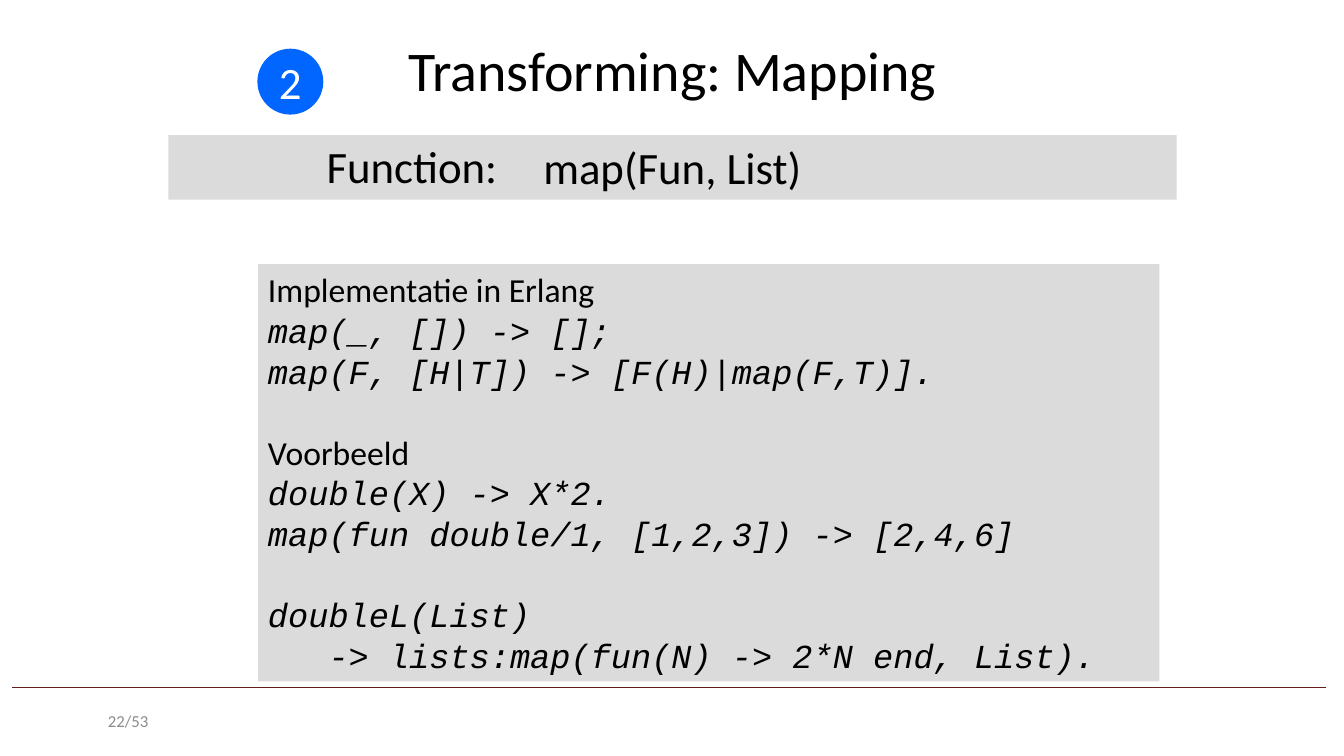
from lxml import etree
from pptx import Presentation
from pptx import util as u
from pptx.dml.color import RGBColor
from pptx.enum import shapes, text
from pptx.oxml.ns import qn

PX = u.Inches(1) // 100  # 100 px to the inch

BLACK = RGBColor(0x00, 0x00, 0x00)
WHITE = RGBColor(0xFF, 0xFF, 0xFF)
PANEL = RGBColor(0xDB, 0xDB, 0xDB)
BLUE = RGBColor(0x00, 0x66, 0xFF)
RULE = RGBColor(0x63, 0x1D, 0x1D)
MUTED = RGBColor(0x8C, 0x8C, 0x8C)

BODY, CODE = "Calibri", "Courier New"
LEFT, CENTER, RIGHT = text.PP_ALIGN.LEFT, text.PP_ALIGN.CENTER, text.PP_ALIGN.RIGHT
TOP, MIDDLE = text.MSO_ANCHOR.TOP, text.MSO_ANCHOR.MIDDLE
CODE_PITCH = 29

# Each section: optional heading, then its code lines
SECTIONS = [
    ("Implementatie in Erlang",
     ["map(_, []) -> [];", "map(F, [H|T]) -> [F(H)|map(F,T)]."]),
    ("Voorbeeld",
     ["double(X) -> X*2.", "map(fun double/1, [1,2,3]) -> [2,4,6]"]),
    (None,
     ["doubleL(List)\v   -> lists:map(fun(N) -> 2*N end, List)."]),
]


def px(*lengths):
    return [length * PX for length in lengths]


def format_runs(para, size, color=BLACK, name=BODY, italic=False):
    for span in para.runs:
        span.font.size = u.Pt(size)
        span.font.name = name
        span.font.color.rgb = color
        span.font.italic = italic


def write(box, words, size, color=BLACK, align=LEFT, anchor=TOP, wrap=True):
    frame = box.text_frame
    frame.word_wrap = wrap
    frame.vertical_anchor = anchor
    frame.text = words
    para = frame.paragraphs[0]
    para.alignment = align
    format_runs(para, size, color)


def add_filled(page, kind, area, color):
    shape = page.shapes.add_shape(kind, *px(*area))
    shape.shadow.inherit = False
    shape.fill.solid()
    shape.fill.fore_color.rgb = color
    shape.line.fill.background()
    return shape


def add_label(page, area, words, size, **style):
    write(page.shapes.add_textbox(*px(*area)), words, size, **style)


def add_rule(page, left, right, y):
    rule = page.shapes.add_connector(shapes.MSO_CONNECTOR.STRAIGHT, *px(left, y, right, y))
    rule.line.color.rgb = RULE
    rule.line.width = u.Pt(0.25)
    etree.SubElement(rule._element.spPr, qn("a:effectLst"))


def add_code_panel(page, area):
    frame = add_filled(page, shapes.MSO_SHAPE.RECTANGLE, area, PANEL).text_frame
    frame.word_wrap = True
    frame.vertical_anchor = TOP
    para = frame.paragraphs[0]
    for number, (heading, code) in enumerate(SECTIONS):
        lines = [(heading, BODY)] if heading else []
        lines += [(line, CODE) for line in code]
        for position, (line, name) in enumerate(lines):
            if number or position:
                para = frame.add_paragraph()
            para.text = line
            para.alignment = LEFT
            para.line_spacing = u.Pt(CODE_PITCH)
            if number and position == 0:
                para.space_before = u.Pt(CODE_PITCH)
            format_runs(para, 24, name=name, italic=name == CODE)


def main():
    deck = Presentation()
    deck.slide_width, deck.slide_height = px(1333, 750)
    page = deck.slides.add_slide(deck.slide_layouts[5])

    # Title and section number
    title = page.shapes.title
    title.left, title.top, title.width, title.height = px(167, 33, 1000, 80)
    write(title, "Transforming: Mapping", 40, align=CENTER, anchor=MIDDLE)
    title.text_frame.paragraphs[0].line_spacing = 0.9
    badge = add_filled(page, shapes.MSO_SHAPE.OVAL, (256, 49, 64, 64), BLUE)
    badge.line.color.rgb = BLUE
    badge.line.width = u.Pt(1)
    write(badge, "2", 32, WHITE, CENTER, MIDDLE)

    # Function signature
    band = add_filled(page, shapes.MSO_SHAPE.RECTANGLE, (167, 134, 1000, 64), PANEL)
    write(band, "map(Fun, List)", 32, align=CENTER)
    add_label(page, (314, 133, 192, 64), "Function:", 32, wrap=False)

    # Code
    add_code_panel(page, (256, 262, 894, 414))

    # Footer
    add_rule(page, 12, 1315, 682)
    add_label(page, (93, 695, 64, 40), "22/53", 12, color=MUTED, align=RIGHT, anchor=MIDDLE)

    deck.save("out.pptx")


if __name__ == "__main__":
    main()
